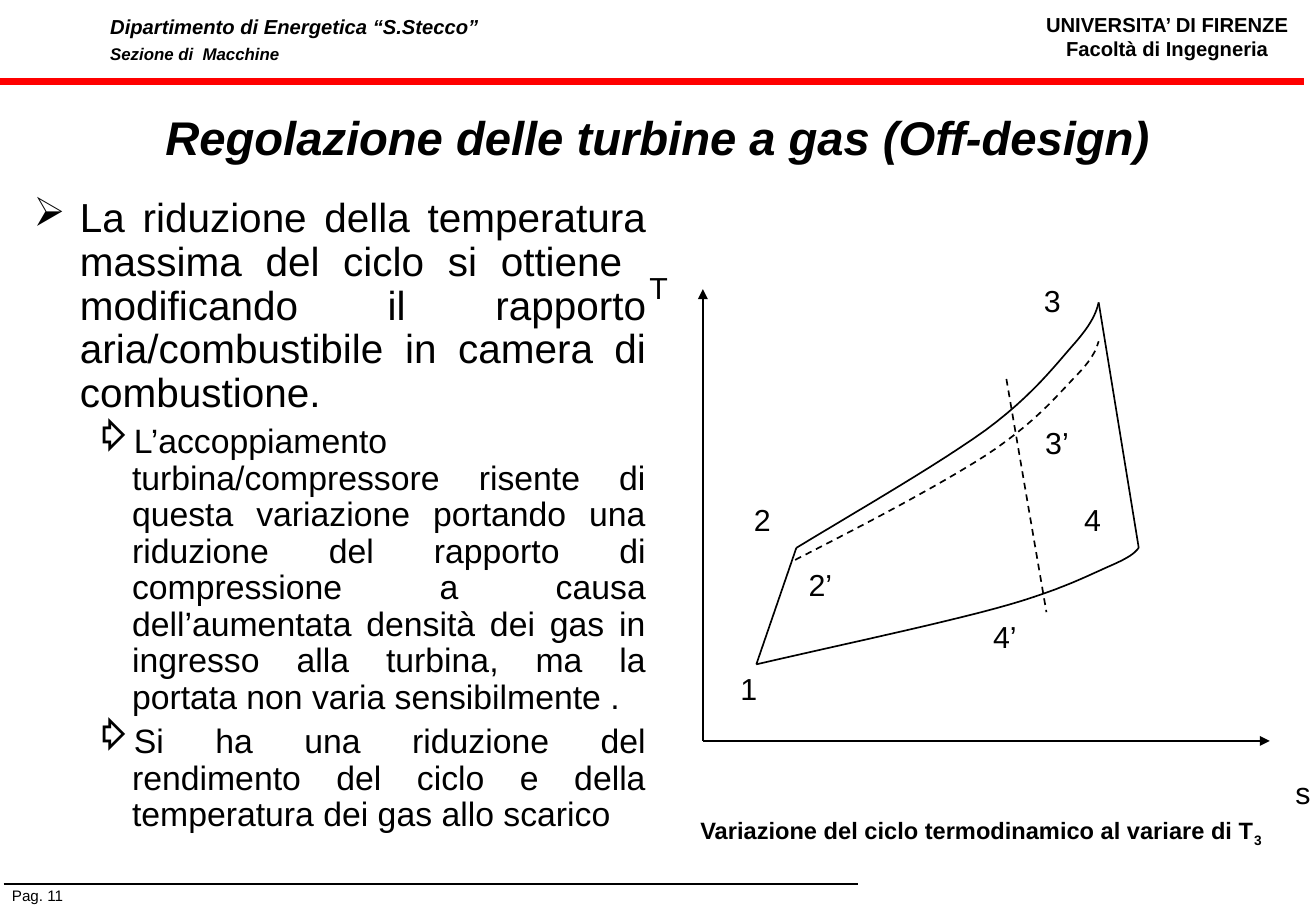
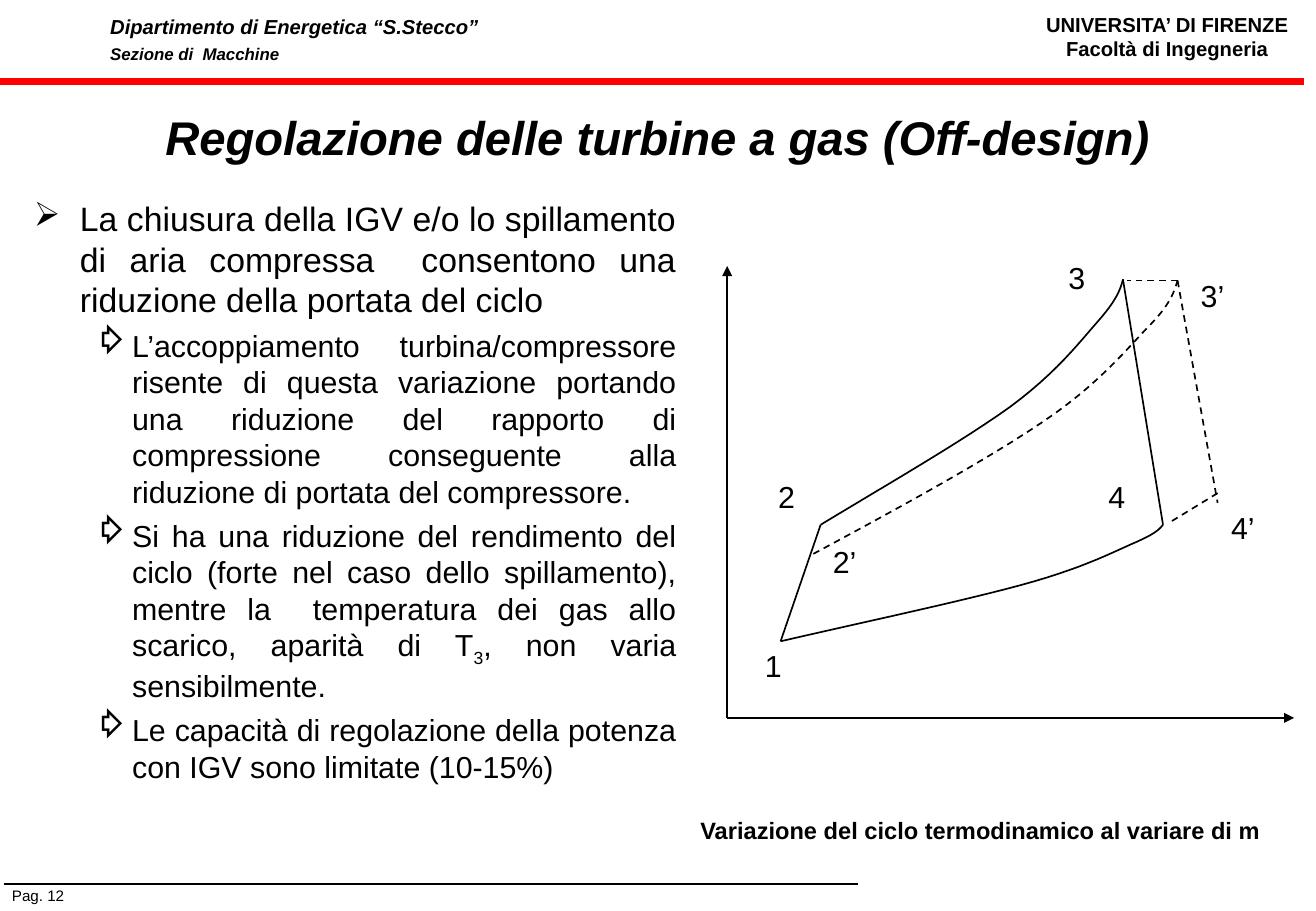
from dataclasses import dataclass
from typing import NamedTuple

from lxml import etree
from pptx import Presentation
from pptx.dml.color import RGBColor
from pptx.enum.dml import MSO_LINE
from pptx.enum.shapes import MSO_CONNECTOR
from pptx.enum.text import MSO_ANCHOR, PP_ALIGN
from pptx.oxml.ns import qn
from pptx.slide import Slide
from pptx.util import Inches, Pt

BLACK = RGBColor(0, 0, 0)
RED = RGBColor(255, 0, 0)
WHITE = RGBColor(255, 255, 255)
FONT = "Arial"
STRAIGHT = MSO_CONNECTOR.STRAIGHT
DASH = MSO_LINE.DASH
LEFT, CENTER, JUSTIFY = PP_ALIGN.LEFT, PP_ALIGN.CENTER, PP_ALIGN.JUSTIFY
TOP, MIDDLE = MSO_ANCHOR.TOP, MSO_ANCHOR.MIDDLE
BULLETS = (("➢", 0.38, 0.38), ("⇨", 0.81, 0.31))  # sign, margin, hang
STEPS = 12

Point = tuple[float, float]


class Box(NamedTuple):
    left: float
    top: float
    width: float
    height: float


class Par(NamedTuple):
    """A paragraph; text between underscores is subscript."""
    text: str
    size: float
    bold: bool = False
    italic: bool = False
    align: PP_ALIGN = LEFT
    level: int | None = None
    before: float = 0
    spacing: float | Pt | None = None


class Label(NamedTuple):
    text: str
    x: float
    y: float


class Line(NamedTuple):
    start: Point
    end: Point
    dash: bool = False
    arrow: bool = False


class Curve(NamedTuple):
    """A chain of cubic Bezier arcs: a start, then three points an arc."""
    points: tuple[Point, ...]
    dash: bool = False


@dataclass
class Page:
    number: int
    width: float
    body: list[Par]
    caption: str
    shift: Point
    lines: list[Line]
    curve: Curve
    labels: list[Label]


AXES = [
    Line((5.79, 6.1), (5.79, 2.38), arrow=True),
    Line((5.79, 6.1), (10.46, 6.1), arrow=True),
]
CYCLE = [Line((6.23, 5.47), (6.56, 4.51)), Line((9.05, 2.49), (9.38, 4.51))]
HEATING = Curve((
    (6.56, 4.51), (7.14, 4.16), (7.73, 3.82), (8.12, 3.54), (8.5, 3.26),
    (8.69, 3.01), (8.84, 2.84), (9, 2.66), (9.03, 2.57), (9.05, 2.49)))
COOLING = Curve((
    (6.23, 5.47), (6.97, 5.3), (7.72, 5.14), (8.2, 5.01), (8.68, 4.88),
    (8.92, 4.76), (9.12, 4.67), (9.31, 4.59), (9.35, 4.55), (9.38, 4.51)))
STATES = [
    Label("1", 6.1, 5.52), Label("2", 6.21, 4.13), Label("2’", 6.66, 4.66),
    Label("3", 8.6, 2.32), Label("4", 8.93, 4.13),
]


def main_point(text: str, size: float, spacing: float) -> Par:
    return Par(text, size, align=JUSTIFY, level=0, spacing=spacing)


def sub_point(text: str, size: float, spacing: float) -> Par:
    return Par(text, size, align=JUSTIFY, level=1, before=size / 4,
               spacing=spacing)


PAGES = [
    Page(
        11, 5.24,
        [
            main_point("La riduzione della temperatura massima del ciclo si "
                       "ottiene  modificando il rapporto aria/combustibile "
                       "in camera di combustione.", 24, 0.9),
            sub_point("L’accoppiamento turbina/compressore risente di questa "
                      "variazione portando una riduzione del rapporto di "
                      "compressione a causa dell’aumentata densità dei gas "
                      "in ingresso alla turbina, ma la portata non varia "
                      "sensibilmente .", 20, 0.9),
            sub_point("Si ha una riduzione del rendimento del ciclo e della "
                      "temperatura dei gas allo scarico", 20, 0.9),
        ],
        "Variazione del ciclo termodinamico al variare di T_3_",
        (0, 0),
        [Line((8.29, 3.12), (8.62, 5.04), dash=True)],
        Curve((
            (6.55, 4.61), (7.14, 4.31), (7.73, 4), (8.12, 3.75), (8.5, 3.5),
            (8.69, 3.28), (8.84, 3.12), (9, 2.96), (9.03, 2.88),
            (9.05, 2.81)), dash=True),
        [Label("3’", 8.61, 3.49), Label("4’", 8.18, 5.09),
         Label("T", 5.35, 2.22), Label("s", 10.67, 6.37)],
    ),
    Page(
        12, 5.49,
        [
            main_point("La chiusura della IGV e/o lo spillamento di aria "
                       "compressa  consentono una riduzione della portata "
                       "del ciclo", 20, 1),
            sub_point("L’accoppiamento turbina/compressore risente di questa "
                      "variazione portando una riduzione del rapporto di "
                      "compressione conseguente alla riduzione di portata "
                      "del compressore.", 18, 1),
            sub_point("Si ha una riduzione del rendimento del ciclo (forte "
                      "nel caso dello spillamento), mentre la  temperatura "
                      "dei gas allo scarico, aparità di T_3_, non varia "
                      "sensibilmente.", 18, 1),
            sub_point("Le capacità di regolazione della potenza con IGV sono "
                      "limitate (10-15%)", 18, 1),
        ],
        "Variazione del ciclo termodinamico al variare di m",
        (0.2, -0.19),
        [
            Line((9.5, 2.5), (9.83, 4.33), dash=True),
            Line((9.83, 4.25), (9.42, 4.5), dash=True),
            Line((9.5, 2.5), (9.08, 2.5), dash=True),
        ],
        Curve((
            (6.5, 4.75), (7.21, 4.37), (7.92, 3.98), (8.38, 3.67),
            (8.83, 3.37), (9.06, 3.09), (9.25, 2.89), (9.44, 2.7),
            (9.47, 2.6), (9.5, 2.5)), dash=True),
        [Label("3’", 9.69, 2.47), Label("4’", 9.94, 4.38)],
    ),
]


def add_text(slide: Slide, box: Box, pars: list[Par],
             anchor: MSO_ANCHOR = TOP, inset: Point = (0.1, 0.05)) -> None:
    frame = slide.shapes.add_textbox(*map(Inches, box)).text_frame
    side, end = map(Inches, inset)
    form = {"word_wrap": True, "vertical_anchor": anchor,
            "margin_left": side, "margin_right": side,
            "margin_top": end, "margin_bottom": end}
    for name, value in form.items():
        setattr(frame, name, value)
    for i, par in enumerate(pars):
        para = frame.add_paragraph() if i else frame.paragraphs[0]
        form = {"alignment": par.align, "line_spacing": par.spacing,
                "space_before": Pt(par.before)}
        for name, value in form.items():
            setattr(para, name, value)
        if par.level is not None:
            sign, margin, hang = BULLETS[par.level]
            props = para._p.get_or_add_pPr()
            props.set("marL", str(Inches(margin)))
            props.set("indent", str(-Inches(hang)))
            etree.SubElement(props, qn("a:buChar")).set("char", sign)
        for j, piece in enumerate(par.text.split("_")):
            if not piece:
                continue
            run = para.add_run()
            run.text = piece
            form = {"name": FONT, "size": Pt(par.size), "bold": par.bold,
                    "italic": par.italic}
            for name, value in form.items():
                setattr(run.font, name, value)
            run.font.color.rgb = BLACK
            if j % 2:
                run._r.get_or_add_rPr().set("baseline", "-25000")


def move(point: Point, shift: Point) -> Point:
    return point[0] + shift[0], point[1] + shift[1]


def add_line(slide: Slide, line: Line, shift: Point = (0, 0),
             color: RGBColor = BLACK, weight: float = 1) -> None:
    ends = move(line.start, shift) + move(line.end, shift)
    shape = slide.shapes.add_connector(STRAIGHT, *map(Inches, ends))
    shape.line.color.rgb = color
    shape.line.width = Pt(weight)
    if line.dash:
        shape.line.dash_style = DASH
    if line.arrow:
        head = etree.SubElement(shape.line._get_or_add_ln(), qn("a:tailEnd"))
        head.set("type", "triangle")
    etree.SubElement(shape._element.spPr, qn("a:effectLst"))


def trace(points: tuple[Point, ...]) -> list[Point]:
    """Sample each Bezier arc at equal steps."""
    result = [points[0]]
    for i in range(0, len(points) - 1, 3):
        arc = points[i:i + 4]
        for step in range(1, STEPS + 1):
            t = step / STEPS
            u = 1 - t
            parts = (u ** 3, 3 * u * u * t, 3 * u * t * t, t ** 3)
            result.append((sum(w * p[0] for w, p in zip(parts, arc)),
                           sum(w * p[1] for w, p in zip(parts, arc))))
    return result


def add_curve(slide: Slide, curve: Curve, shift: Point) -> None:
    dots = [tuple(map(Inches, move(p, shift))) for p in trace(curve.points)]
    path = slide.shapes.build_freeform(*dots[0])
    path.add_line_segments(dots[1:], close=False)
    shape = path.convert_to_shape()
    shape.shadow.inherit = False
    shape.fill.background()
    shape.line.color.rgb = BLACK
    shape.line.width = Pt(1)
    if curve.dash:
        shape.line.dash_style = DASH


def add_frame(slide: Slide, number: int) -> None:
    """Draw the header, title and footer that all slides share."""
    slide.background.fill.solid()
    slide.background.fill.fore_color.rgb = WHITE
    add_text(slide, Box(8.4, 0.05, 2.43, 0.5), [
        Par("UNIVERSITA’ DI FIRENZE", 12, bold=True, align=CENTER),
        Par("Facoltà di Ingegneria", 12, bold=True, align=CENTER)])
    add_text(slide, Box(0.81, 0.06, 3.66, 0.51), [
        Par("Dipartimento di Energetica “S.Stecco”", 12, True, True,
            spacing=Pt(15)),
        Par("Sezione di  Macchine", 10, True, True, spacing=Pt(15))])
    add_text(slide, Box(0, 7.25, 1.17, 0.25), [Par(f"Pag. {number}", 9)])
    add_line(slide, Line((0, 0.67), (10.74, 0.67)), color=RED, weight=4.5)
    add_line(slide, Line((0.03, 7.28), (7.07, 7.28)))
    add_text(slide, Box(0.81, 0.75, 9.21, 0.75), [
        Par("Regolazione delle turbine a gas (Off-design)", 28, True, True,
            CENTER)], MIDDLE)


def add_chart_lines(slide: Slide, page: Page) -> None:
    """Draw the T-s diagram: axes, base cycle, changed cycle and labels."""
    for line in AXES + CYCLE + page.lines:
        add_line(slide, line, page.shift)
    for curve in (HEATING, COOLING, page.curve):
        add_curve(slide, curve, page.shift)
    for label in STATES + page.labels:
        x, y = move((label.x, label.y), page.shift)
        box = Box(x, y, 0.1 + 0.06 * len(label.text), 0.3)
        add_text(slide, box, [Par(label.text, 18)], inset=(0, 0))


def main() -> None:
    deck = Presentation()
    deck.slide_width, deck.slide_height = Inches(10.84), Inches(7.5)
    for page in PAGES:
        slide = deck.slides.add_slide(deck.slide_layouts[6])
        add_frame(slide, page.number)
        add_text(slide, Box(0.18, 1.58, page.width, 5.67), page.body)
        add_chart_lines(slide, page)
        add_text(slide, Box(5.67, 6.67, 5, 0.37),
                 [Par(page.caption, 14, bold=True)])
    deck.save("out.pptx")


if __name__ == "__main__":
    main()
